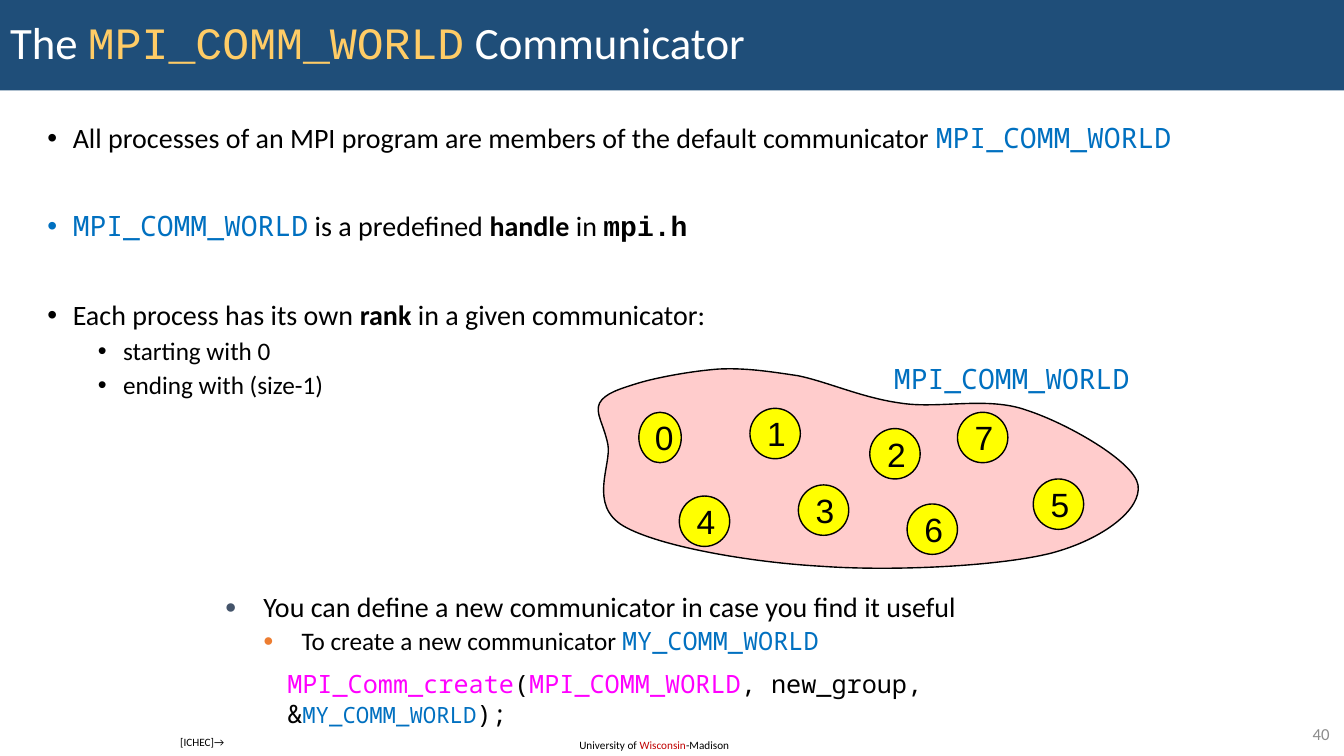
from dataclasses import dataclass
from itertools import chain

from lxml import etree
from pptx import Presentation
from pptx.dml.color import RGBColor as Rgb
from pptx.enum.shapes import MSO_SHAPE as Preset
from pptx.enum.text import MSO_ANCHOR as Anchor, MSO_AUTO_SIZE as AutoSize, PP_ALIGN as Align
from pptx.oxml.ns import qn
from pptx.util import Cm, Pt


@dataclass(frozen=True)
class Theme:
    # Colours
    white: str = "FFFFFF"
    black: str = "000000"
    banner: str = "1F4E79"
    gold: str = "FFCC66"
    blue: str = "0070C0"
    magenta: str = "FF00FF"
    red: str = "C00000"
    grey: str = "8C8C8C"
    slate: str = "44546A"
    orange: str = "ED7D31"
    pink: str = "FFCCCC"
    yellow: str = "FFFF00"
    # Fonts
    sans: str = "Calibri"
    code: str = "Noto Sans Mono"
    courier: str = "Courier New"
    digits: str = "Arial"
    # Type sizes
    title: int = 32
    rank: int = 24
    main: int = 20
    sub: int = 18
    small_code: int = 16
    number: int = 12
    note: int = 8


THEME = Theme()
BLUE_CODE = {"font": THEME.code, "color": THEME.blue}
BOLD = {"bold": True}
WORLD = ("MPI_COMM_WORLD", BLUE_CODE)

# Outline of the communicator in cm: each row holds two handles and an end point
OUTLINE_START = (16.10, 9.65)
OUTLINE_CURVES = [
    ((16.61, 9.50), (17.45, 9.35), (18.11, 9.30)),
    ((18.77, 9.27), (19.33, 9.35), (20.12, 9.47)),
    ((20.88, 9.63), (21.74, 10.03), (22.71, 10.16)),
    ((23.67, 10.31), (24.89, 9.98), (25.88, 10.34)),
    ((26.90, 10.67), (28.58, 11.63), (28.68, 12.22)),
    ((28.78, 12.83), (27.81, 13.59), (26.49, 13.94)),
    ((25.17, 14.27), (22.50, 14.40), (20.70, 14.27)),
    ((18.90, 14.17), (16.61, 13.77), (15.72, 13.26)),
    ((14.81, 12.73), (15.42, 11.71), (15.32, 11.20)),
    ((15.21, 10.67), (14.99, 10.41), (15.11, 10.16)),
    ((15.24, 9.91), (15.62, 9.80), OUTLINE_START),
]

# Left, top and width in cm, in order of rank
PROCESSES = [
    (16.10, 10.39, 1.07), (18.90, 10.29, 1.27), (21.92, 10.80, 1.27), (20.12, 12.22, 1.27),
    (17.12, 12.50, 1.27), (26.04, 12.07, 1.27), (22.86, 12.70, 1.27), (24.13, 10.39, 1.27),
]
PROCESS_HEIGHT = 1.27


def add_text(frame, *spans, size=THEME.main, font=THEME.sans, color=THEME.black, bold=False,
             align=Align.LEFT, level=0, before=0, line=1.0):
    """Write one paragraph; a span is a string or a (string, overrides) pair."""
    first = frame.paragraphs[0]
    para = frame.add_paragraph() if first.runs else first
    para.alignment, para.level = align, level
    para.space_before, para.line_spacing = Pt(before), line
    for item in spans:
        words, changes = (item, {}) if isinstance(item, str) else item
        look = {"size": size, "font": font, "color": color, "bold": bold, **changes}
        span = para.add_run()
        span.text = words
        span.font.size, span.font.name = Pt(look["size"]), look["font"]
        span.font.bold = look["bold"]
        span.font.color.rgb = Rgb.from_string(look["color"])
    return para


def add_bullet(para, margin, hanging, symbol="•", color=None, percent=None):
    props = para._p.get_or_add_pPr()
    props.set("marL", str(Cm(margin)))
    props.set("indent", str(-Cm(hanging)))
    if color:
        holder = etree.SubElement(props, qn("a:buClr"))
        etree.SubElement(holder, qn("a:srgbClr"), val=color)
    if percent:
        etree.SubElement(props, qn("a:buSzPct"), val=str(percent * 1000))
    etree.SubElement(props, qn("a:buFont"), typeface="Arial")
    etree.SubElement(props, qn("a:buChar"), char=symbol)


def paint(shape, fill, line=None):
    shape.fill.solid()
    shape.fill.fore_color.rgb = Rgb.from_string(fill)
    if line:
        shape.line.color.rgb = Rgb.from_string(line)
        shape.line.width = Pt(1)
    else:
        shape.line.fill.background()


def move(shape, left, top, width, height):
    shape.left, shape.top, shape.width, shape.height = Cm(left), Cm(top), Cm(width), Cm(height)


def add_box(shapes, left, top, width, height, grow=False):
    box = shapes.add_textbox(Cm(left), Cm(top), Cm(width), Cm(height))
    box.text_frame.word_wrap = True
    box.text_frame.auto_size = AutoSize.SHAPE_TO_FIT_TEXT if grow else AutoSize.NONE
    return box


def add_title(page):
    title = page.shapes.title
    move(title, 0, 0, 33.87, 2.28)
    paint(title, THEME.banner)
    frame = title.text_frame
    frame.auto_size, frame.vertical_anchor = AutoSize.NONE, Anchor.MIDDLE
    add_text(frame, "The ", ("MPI_COMM_WORLD", {"font": THEME.courier, "color": THEME.gold}),
             " Communicator", size=THEME.title, color=THEME.white, line=0.9)


def add_body(page):
    body = page.placeholders[1]
    move(body, 0.94, 3, 30.05, 7.82)
    frame = body.text_frame
    frame.auto_size, frame.vertical_anchor = AutoSize.NONE, Anchor.TOP
    points = [
        (10, ["All processes of an MPI program are members of the default communicator ", WORLD]),
        (41.6, [WORLD, " is a predefined ", ("handle", BOLD), " in ",
                ("mpi.h", {"font": THEME.courier, "bold": True})]),
        (41.6, ["Each process has its own ", ("rank", BOLD), " in a given communicator:"]),
    ]
    for before, spans in points:
        add_bullet(add_text(frame, *spans, before=before, line=0.9), 0.64, 0.64)
    for words in ("starting with 0", "ending with (size-1)"):
        para = add_text(frame, words, size=THEME.sub, level=1, before=5, line=0.9)
        add_bullet(para, 1.91, 0.64)


def add_process(shapes, rank):
    left, top, width = PROCESSES[rank]
    circle = shapes.add_shape(Preset.OVAL, Cm(left), Cm(top), Cm(width), Cm(PROCESS_HEIGHT))
    circle.shadow.inherit = False
    paint(circle, THEME.yellow, THEME.black)
    frame = circle.text_frame
    frame.word_wrap, frame.vertical_anchor = False, Anchor.MIDDLE
    add_text(frame, str(rank), size=THEME.rank, font=THEME.digits)


def add_curved_outline(shapes, start, curves):
    """Draw through all points, then turn every three segments into one curve."""
    points = [(Cm(x), Cm(y)) for x, y in chain([start], *curves)]
    builder = shapes.build_freeform(*points[0])
    builder.add_line_segments(points[1:], close=True)
    outline = builder.convert_to_shape()
    segments = list(outline._element.iter(qn("a:lnTo")))
    for index in range(0, 3 * len(curves), 3):
        trio = segments[index:index + 3]
        curve = etree.Element(qn("a:cubicBezTo"))
        trio[0].addprevious(curve)
        for segment in trio:
            curve.append(segment[0])
            segment.getparent().remove(segment)
    return outline


def add_communicator(page):
    shapes = page.shapes.add_group_shape().shapes
    outline = add_curved_outline(shapes, OUTLINE_START, OUTLINE_CURVES)
    outline.shadow.inherit = False
    paint(outline, THEME.pink, THEME.black)
    for rank in range(len(PROCESSES)):
        add_process(shapes, rank)
    label = add_box(shapes, 22.43, 9.11, 6.65, 0.86, grow=True)
    paint(label, THEME.white)
    frame = label.text_frame
    frame.margin_left = frame.margin_right = Cm(0.1)
    frame.margin_top = frame.margin_bottom = 0
    add_text(frame, WORLD)


def add_new_communicator(page):
    frame = add_box(page.shapes, 5.42, 14.83, 22.73, 2.34).text_frame
    para = add_text(frame, "You can define a new communicator in case you find it useful",
                    before=4, line=0.9)
    add_bullet(para, 0.97, 0.97, "●", THEME.slate, 70)
    para = add_text(frame, "To create a new communicator ", ("MY_COMM_WORLD", BLUE_CODE),
                    size=THEME.sub, level=1, before=3.6, line=0.9)
    add_bullet(para, 1.93, 0.97, "●", THEME.orange, 70)
    # Call that creates it
    call = add_box(page.shapes, 6.99, 16.71, 20.75, 1.02, grow=True)
    magenta = {"color": THEME.magenta}
    add_text(call.text_frame, ("MPI_Comm_create", magenta), "(", ("MPI_COMM_WORLD", magenta),
             ", new_group, &", ("MY_COMM_WORLD", {"size": THEME.small_code, "color": THEME.blue}),
             ");", size=THEME.sub, font=THEME.code)


def add_footer(page):
    school = add_box(page.shapes, 14.35, 18.49, 4.37, 0.61, grow=True)
    add_text(school.text_frame, "University of ", ("Wisconsin", {"color": THEME.red}),
             "-Madison", size=THEME.note)
    number = add_box(page.shapes, 31.83, 18.11, 1.93, 0.74)
    number.text_frame.vertical_anchor = Anchor.MIDDLE
    add_text(number.text_frame, "40", size=THEME.number, color=THEME.grey, align=Align.RIGHT)
    credit = add_box(page.shapes, 4.29, 18.4, 1.83, 0.61, grow=True)
    add_text(credit.text_frame, "[ICHEC]→", size=THEME.note)


def main():
    deck = Presentation()
    deck.slide_width, deck.slide_height = Cm(33.87), Cm(19.05)
    page = deck.slides.add_slide(deck.slide_layouts[1])
    add_title(page)
    add_body(page)
    add_communicator(page)
    add_new_communicator(page)
    add_footer(page)
    deck.save("out.pptx")


if __name__ == "__main__":
    main()
